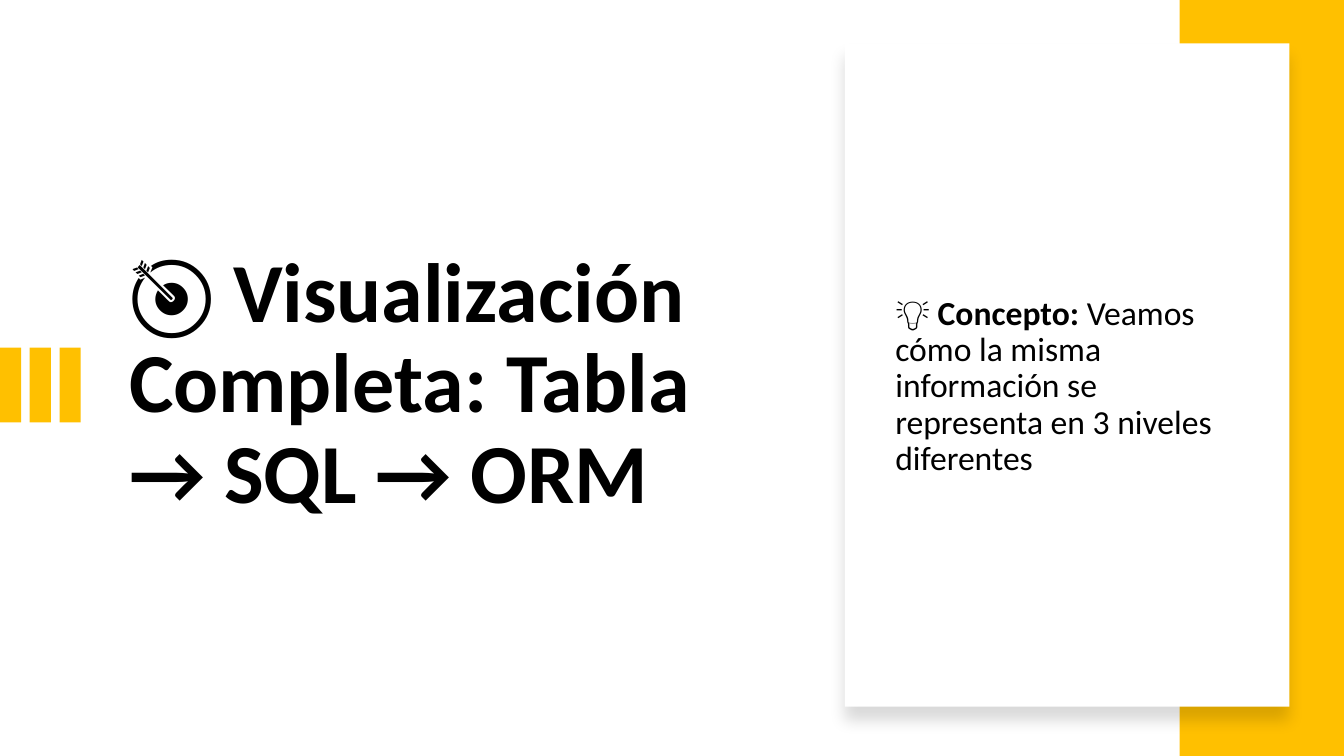
from lxml.etree import SubElement
from pptx import Presentation
from pptx.dml.color import RGBColor
from pptx.enum.shapes import MSO_SHAPE
from pptx.enum.text import MSO_ANCHOR, MSO_AUTO_SIZE, PP_ALIGN
from pptx.oxml.ns import qn
from pptx.util import Inches, Pt

AMBER = RGBColor(0xFF, 0xC0, 0x00)
WHITE = RGBColor(0xFF, 0xFF, 0xFF)
BLACK = RGBColor(0x00, 0x00, 0x00)
FONT = "Calibri"


class SlideBuilder:
    def __init__(self, deck):
        self.slide = deck.slides.add_slide(deck.slide_layouts[1])

    def rectangle(self, left, top, width, height, color):
        box = self.slide.shapes.add_shape(
            MSO_SHAPE.RECTANGLE,
            Inches(left), Inches(top), Inches(width), Inches(height))
        box.shadow.inherit = False
        box.fill.solid()
        box.fill.fore_color.rgb = color
        box.line.fill.background()
        return box

    def card(self, left, top, width, height):
        box = self.rectangle(left, top, width, height, WHITE)
        effects = box._element.spPr.find(qn("a:effectLst"))
        shadow = SubElement(
            effects, qn("a:outerShdw"), blurRad=str(Pt(11)), dist=str(Pt(10)),
            dir="5400000", algn="t", rotWithShape="0")
        color = SubElement(shadow, qn("a:srgbClr"), val=str(BLACK))
        SubElement(color, qn("a:alpha"), val="15000")

    def placeholder(self, index, left, top, width, height, size, spans):
        """Fill a placeholder with one paragraph of (text, bold) spans."""
        box = self.slide.placeholders[index]
        box.left, box.top = Inches(left), Inches(top)
        box.width, box.height = Inches(width), Inches(height)
        frame = box.text_frame
        frame.word_wrap = True
        frame.auto_size = MSO_AUTO_SIZE.NONE
        frame.vertical_anchor = MSO_ANCHOR.MIDDLE
        para = frame.paragraphs[0]
        properties = para._p.get_or_add_pPr()
        properties.set("marL", "0")
        properties.set("indent", "0")
        SubElement(properties, qn("a:buNone"))
        para.alignment = PP_ALIGN.LEFT
        para.line_spacing = 0.9
        para.space_before = Pt(0)
        for text, bold in spans:
            span = para.add_run()
            span.text = text
            span.font.name = FONT
            span.font.size = Pt(size)
            span.font.bold = bold
            span.font.color.rgb = BLACK
        # Bring the text in front of the shapes drawn so far
        self.slide.shapes._spTree.append(box._element)


def main():
    deck = Presentation()
    deck.slide_width, deck.slide_height = Inches(13.33), Inches(7.5)
    page = SlideBuilder(deck)

    # Title
    page.placeholder(0, 1.18, 1.25, 6.6, 5.15, 60,
                     [("🎯 Visualización Completa: Tabla → SQL → ORM", True)])

    # Accent bars at the left edge
    for number in range(3):
        page.rectangle(number * 0.295, 3.45, 0.21, 0.74, AMBER)

    # Right band and raised card
    page.rectangle(11.7, 0, 1.63, 7.5, AMBER)
    page.card(8.38, 0.43, 4.41, 6.58)

    # Concept text
    page.placeholder(1, 8.78, 1.85, 3.61, 3.98, 24, [
        ("💡 Concepto:", True),
        (" Veamos cómo la misma información se representa en 3 niveles diferentes",
         False)])

    deck.save("out.pptx")


if __name__ == "__main__":
    main()
